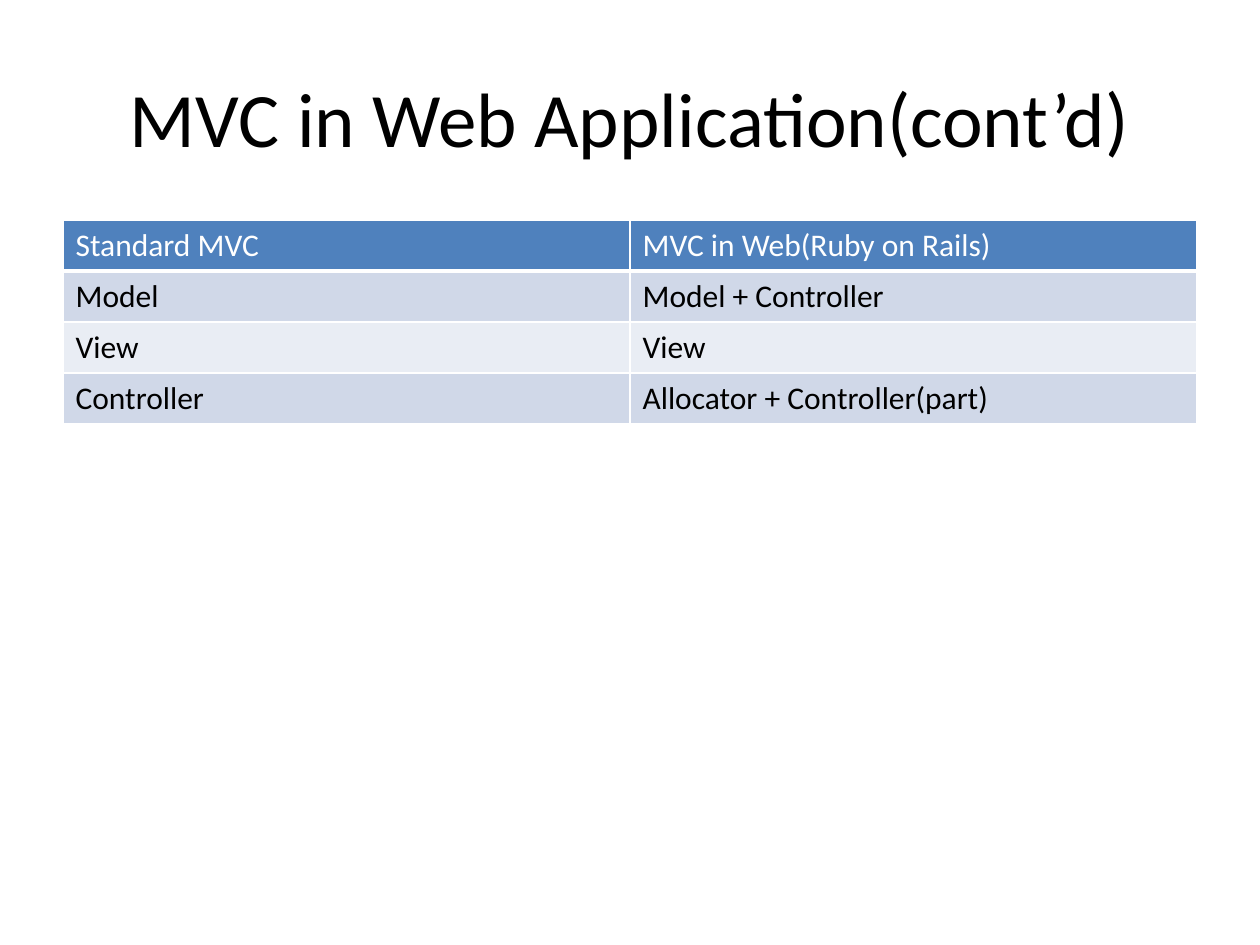
from lxml.etree import SubElement
from pptx import Presentation
from pptx.dml.color import RGBColor
from pptx.enum.text import MSO_ANCHOR, PP_ALIGN
from pptx.oxml.ns import qn
from pptx.util import Pt

SCALE = 914400 / 126
WHITE, BLACK, BLUE = "FFFFFF", "000000", "4F81BD"
BANDS = ["D0D8E8", "E9EDF4"]
ROWS = [
    ("Standard MVC", "MVC in Web(Ruby on Rails)"),
    ("Model", "Model + Controller"),
    ("View", "View"),
    ("Controller", "Allocator + Controller(part)"),
]


def px(*nums):
    """Turn pixel lengths into EMU."""
    return [round(num * SCALE) for num in nums]


def color(code):
    """Turn a hex string into a colour."""
    return RGBColor.from_string(code)


def write(frame, text, size=18, ink=BLACK, align=PP_ALIGN.LEFT):
    """Put one formatted line of text into a frame."""
    line = frame.paragraphs[0]
    line.alignment = align
    run = line.add_run()
    run.text = text
    font = run.font
    font.name, font.size, font.bold = "Calibri", Pt(size), False
    font.color.rgb = color(ink)


def title(slide, text, box):
    """Add the centred slide title."""
    frame = slide.shapes.add_textbox(*px(*box)).text_frame
    frame.word_wrap = True
    frame.vertical_anchor = MSO_ANCHOR.MIDDLE
    write(frame, text, size=44, align=PP_ALIGN.CENTER)


def border(cell, base):
    """Draw white borders around a cell."""
    props = cell._tc.get_or_add_tcPr()
    for side, width in zip("LRTB", (1, 1, 1, base)):
        line = SubElement(props, qn(f"a:ln{side}"), w=str(Pt(width)))
        fill = SubElement(line, qn("a:solidFill"))
        SubElement(fill, qn("a:srgbClr"), val=WHITE)


def table(slide, rows, box):
    """Add a table with a header and banded rows."""
    grid = slide.shapes.add_table(len(rows), len(rows[0]), *px(*box)).table
    for i, row in enumerate(rows):
        head = i == 0
        for j, text in enumerate(row):
            cell = grid.cell(i, j)
            border(cell, 3 if head else 1)
            cell.fill.solid()
            cell.fill.fore_color.rgb = color(BLUE if head else BANDS[(i - 1) % 2])
            write(cell.text_frame, text, ink=WHITE if head else BLACK)


def main():
    """Build and save the slide."""
    deck = Presentation()
    deck.slide_width, deck.slide_height = px(1260, 945)
    slide = deck.slides.add_slide(deck.slide_layouts[6])
    title(slide, "MVC in Web Application(cont’d)", (63, 38, 1134, 157))
    table(slide, ROWS, (63, 220, 1134, 204))
    deck.save("out.pptx")


if __name__ == "__main__":
    main()
